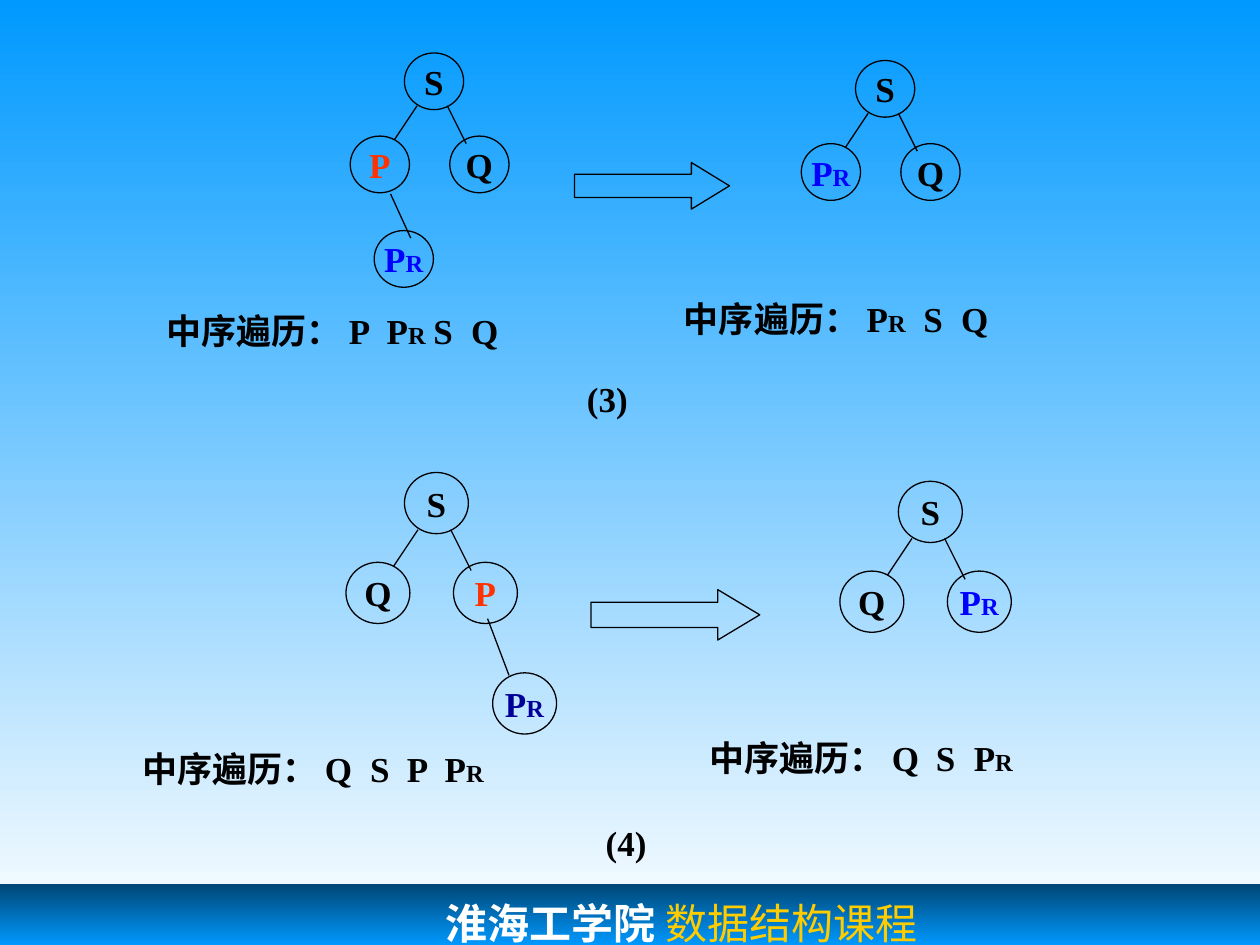
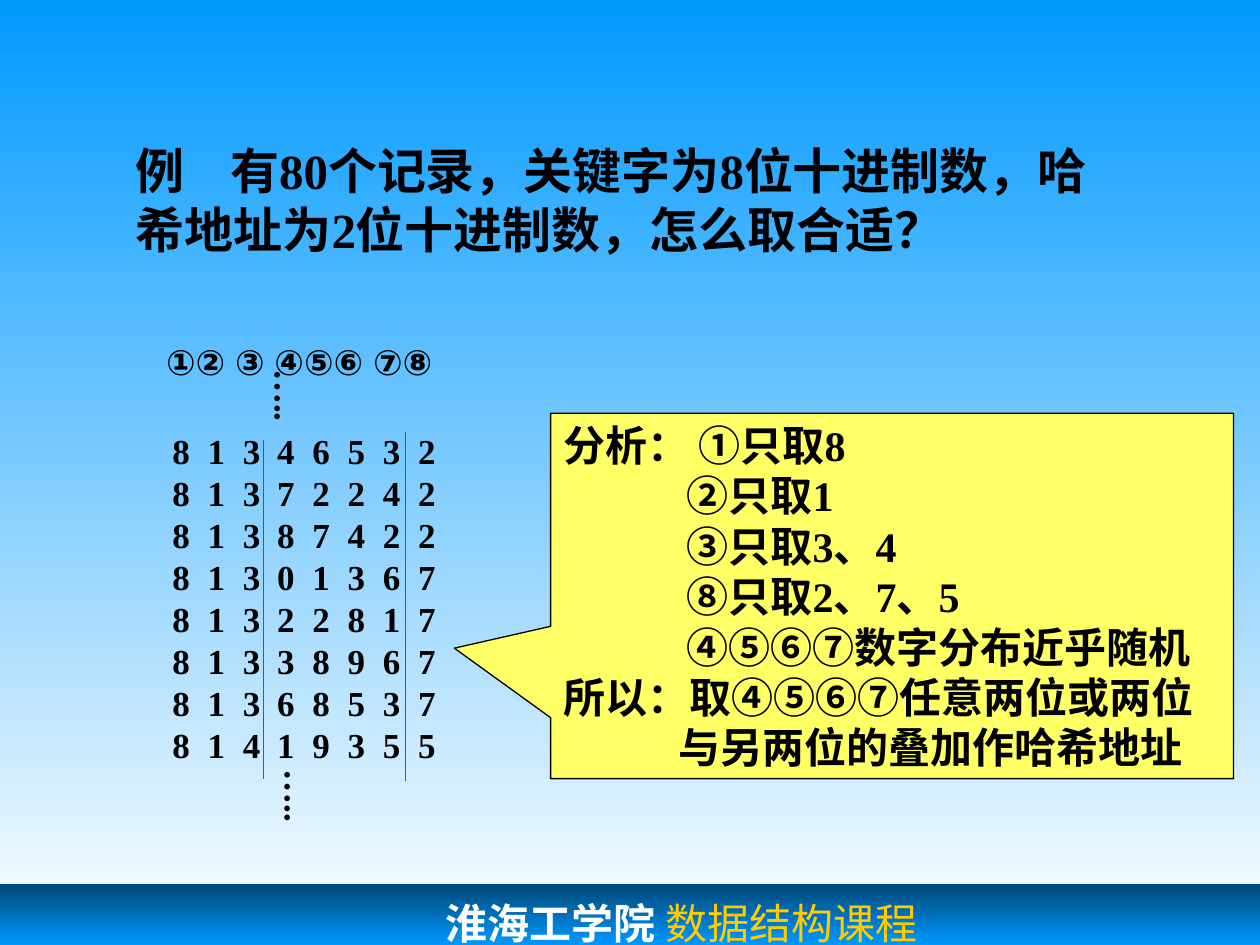
from dataclasses import dataclass
from itertools import groupby

from copy import deepcopy
from lxml.etree import SubElement
from pptx import Presentation
from pptx.dml.color import RGBColor
from pptx.enum.shapes import MSO_CONNECTOR, MSO_SHAPE
from pptx.enum.text import MSO_ANCHOR as Anchor, PP_ALIGN as Align
from pptx.oxml.ns import qn
from pptx.util import Inches, Pt


@dataclass(frozen=True)
class Theme:
    sky: str = "0099FF"
    deep: str = "004776"
    white: str = "FFFFFF"
    gold: str = "FFCC00"
    ink: str = "000000"
    removed: str = "FF3300"
    child: str = "0000FF"
    dark_child: str = "000099"
    divider: str = "0066FF"
    note: str = "FFFF66"
    serif: str = "Times New Roman"
    sans: str = "Arial"
    mono: str = "DejaVu Sans Mono"
    question: int = 28
    large: int = 24
    body: int = 20
    subscript: int = 14
    line: float = 0.75


THEME = Theme()
CIRCLED = "①②③④⑤⑥⑦⑧"


@dataclass(frozen=True)
class Box:
    left: float
    top: float
    width: float
    height: float

    def lengths(self) -> list:
        return [Inches(v) for v in (self.left, self.top, self.width, self.height)]


@dataclass(frozen=True)
class Node:
    label: str
    color: str = THEME.ink


@dataclass(frozen=True)
class Grandchild:
    """Node and edge places, relative to the root of the tree."""
    node: Node
    at: tuple
    edge: tuple


@dataclass(frozen=True)
class Tree:
    root: tuple
    scale: float
    left: Node
    right: Node
    grandchild: Grandchild | None = None


@dataclass(frozen=True)
class Traversal:
    at: tuple
    order: str
    stops: tuple


@dataclass(frozen=True)
class Case:
    trees: tuple
    traversals: tuple
    arrow: Box
    arrow_head: float
    number: str
    number_at: tuple


P, Q, S = Node("P", THEME.removed), Node("Q"), Node("S")
PR = Node("P_R", THEME.child)
CASES = (
    Case(
        (Tree((3.21, 0.42), 1, P, Q,
              Grandchild(PR, (-0.24, 1.41), (-0.11, 1.12, 0.05, 1.47))),
         Tree((6.79, 0.48), 1, PR, Q)),
        (Traversal((1.22, 2.4), "P P_R S Q", (1.45, 1.75, 2.12, 2.42)),
         Traversal((5.33, 2.31), "P_R S Q", (1.45, 1.9, 2.2))),
        Box(4.56, 1.29, 1.23, 0.37), 0.817, "(3)", (4.42, 2.94)),
    Case(
        (Tree((3.21, 3.75), 1.08, Q, P,
              Grandchild(Node("P_R", THEME.dark_child), (0.7, 1.59),
                         (0.66, 1.16, 0.83, 1.61))),
         Tree((7.13, 3.82), 1.08, Q, PR)),
        (Traversal((1.03, 5.88), "Q S P P_R", (1.45, 1.81, 2.1, 2.4)),
         Traversal((5.53, 5.79), "Q S P_R", (1.45, 1.8, 2.1))),
        Box(4.69, 4.68, 1.34, 0.4), 0.833, "(4)", (4.57, 6.47)),
)

# Places in a tree of scale 1, relative to the root.
NODE_SIZE = (0.47, 0.45)
CHILDREN = ((-0.43, 0.66), (0.36, 0.66))
EDGES = ((0.1, 0.42, -0.08, 0.69), (0.34, 0.42, 0.49, 0.72))

KEYS = ("81346532", "81372242", "81387422", "81301367",
        "81322817", "81338967", "81368537", "81419355")
ANALYSIS = (
    (0, "分析： ①只取8"),
    (0.98, "②只取1"),
    (0.98, "③只取3、4"),
    (0.98, "⑧只取2、7、5"),
    (0.98, "④⑤⑥⑦数字分布近乎随机"),
    (0, "所以：取④⑤⑥⑦任意两位或两位"),
    (0.92, "与另两位的叠加作哈希地址"),
)


def rgb(color: str) -> RGBColor:
    return RGBColor.from_string(color)


def fill_gradient(fill, *colors: str) -> None:
    """Vertical gradient with evenly spaced stops, first colour on top."""
    fill.gradient()
    fill.gradient_angle = 270
    stops = fill.gradient_stops
    gs_list = fill._fill._gradFill.find(qn("a:gsLst"))
    for _ in range(len(colors) - len(stops)):
        gs_list.append(deepcopy(gs_list[-1]))
    for i, (stop, color) in enumerate(zip(fill.gradient_stops, colors)):
        stop.color.rgb = rgb(color)
        stop.position = i / (len(colors) - 1)


def style_paragraph(paragraph, size: int, color: str = THEME.ink, font: str = THEME.serif,
                    indent: float = 0, stops: tuple = ()) -> None:
    props = paragraph._p.get_or_add_pPr()
    if indent:
        props.set("marL", str(Inches(indent)))
        props.set("indent", "0")
    if stops:
        tabs = SubElement(props, qn("a:tabLst"))
        for stop in stops:
            SubElement(tabs, qn("a:tab"), pos=str(Inches(stop)), algn="l")
    paragraph.font.size = Pt(size)
    paragraph.font.bold = True
    paragraph.font.name = font
    paragraph.font.color.rgb = rgb(color)


def add_run(paragraph, text: str):
    run = paragraph.add_run()
    run.text = text
    return run


def write_subscripted(paragraph, text: str) -> None:
    """Write text in which _R stands for a small R."""
    for i, piece in enumerate(text.split("_R")):
        if i:
            add_run(paragraph, "R").font.size = Pt(THEME.subscript)
        if piece:
            add_run(paragraph, piece)


def add_text(slide, box: Box, wrap: bool = True, anchor: Anchor = Anchor.TOP):
    frame = slide.shapes.add_textbox(*box.lengths()).text_frame
    frame.word_wrap = wrap
    frame.vertical_anchor = anchor
    return frame


def add_shape(slide, kind: MSO_SHAPE, box: Box, fill: str | None = None):
    shape = slide.shapes.add_shape(kind, *box.lengths())
    shape.shadow.inherit = False
    if fill:
        shape.fill.solid()
        shape.fill.fore_color.rgb = rgb(fill)
    else:
        shape.fill.background()
    shape.line.color.rgb = rgb(THEME.ink)
    shape.line.width = Pt(THEME.line)
    return shape


def add_line(slide, ends: tuple, color: str = THEME.ink) -> None:
    line = slide.shapes.add_connector(MSO_CONNECTOR.STRAIGHT, *(Inches(v) for v in ends))
    line.line.color.rgb = rgb(color)
    line.line.width = Pt(THEME.line)
    SubElement(line._element.spPr, qn("a:effectLst"))


def add_slide(prs):
    """Blank slide with the course footer."""
    slide = prs.slides.add_slide(prs.slide_layouts[6])
    band = add_shape(slide, MSO_SHAPE.RECTANGLE, Box(0, 7.02, 10, 0.97))
    fill_gradient(band.fill, THEME.deep, THEME.sky, THEME.deep)
    band.line.fill.background()
    band.text_frame.vertical_anchor = Anchor.TOP
    band.text_frame.margin_top = Inches(0.1)
    footer = band.text_frame.paragraphs[0]
    footer.alignment = Align.LEFT
    style_paragraph(footer, THEME.large, THEME.white, THEME.mono, indent=3.44)
    add_run(footer, "淮海工学院")
    course = add_run(footer, " 数据结构课程").font
    course.name = THEME.serif
    course.bold = False
    course.color.rgb = rgb(THEME.gold)
    return slide


def draw_node(slide, node: Node, at: tuple, scale: float) -> None:
    width, height = (v * scale for v in NODE_SIZE)
    frame = add_shape(slide, MSO_SHAPE.OVAL, Box(*at, width, height)).text_frame
    frame.word_wrap = False
    frame.vertical_anchor = Anchor.MIDDLE
    label = frame.paragraphs[0]
    label.alignment = Align.CENTER
    style_paragraph(label, THEME.body, node.color)
    write_subscripted(label, node.label)


def draw_tree(slide, tree: Tree) -> None:
    def place(offsets: tuple, scale: float = 1) -> tuple:
        return tuple(tree.root[i % 2] + v * scale for i, v in enumerate(offsets))

    draw_node(slide, S, tree.root, tree.scale)
    for node, at, edge in zip((tree.left, tree.right), CHILDREN, EDGES):
        draw_node(slide, node, place(at, tree.scale), tree.scale)
        add_line(slide, place(edge, tree.scale))
    if tree.grandchild:
        draw_node(slide, tree.grandchild.node, place(tree.grandchild.at), tree.scale)
        add_line(slide, place(tree.grandchild.edge))


def draw_case(slide, case: Case) -> None:
    for tree in case.trees:
        draw_tree(slide, tree)
    for traversal in case.traversals:
        frame = add_text(slide, Box(*traversal.at, 2.95, 0.44), anchor=Anchor.MIDDLE)
        line = frame.paragraphs[0]
        style_paragraph(line, THEME.body, stops=traversal.stops)
        write_subscripted(line, "中序遍历：\t" + traversal.order.replace(" ", "\t"))
    arrow = add_shape(slide, MSO_SHAPE.RIGHT_ARROW, case.arrow)
    arrow.adjustments[1] = case.arrow_head
    number = add_text(slide, Box(*case.number_at, 0.8, 0.44), anchor=Anchor.MIDDLE).paragraphs[0]
    number.alignment = Align.CENTER
    style_paragraph(number, THEME.body)
    add_run(number, case.number)


def draw_keys(slide) -> None:
    frame = add_text(slide, Box(1.27, 3.36, 2.45, 2.77))
    stops = tuple(round(0.278 * i, 2) for i in range(1, 8))
    for i, key in enumerate(KEYS):
        row = frame.paragraphs[0] if i == 0 else frame.add_paragraph()
        style_paragraph(row, THEME.body, stops=stops)
        add_run(row, "\t".join(key))

    for left, top in ((1.98, 2.83), (2.06, 6.01)):
        dots = add_text(slide, Box(left, top, 0.53, 0.52), wrap=False)
        dots._txBody.bodyPr.set("vert", "eaVert")
        dots.margin_left = dots.margin_right = Inches(0.05)
        dots.margin_top = dots.margin_bottom = Inches(0.1)
        style_paragraph(dots.paragraphs[0], THEME.body)
        add_run(dots.paragraphs[0], "…..")

    positions = add_text(slide, Box(1.22, 2.65, 2.39, 0.44)).paragraphs[0]
    style_paragraph(positions, THEME.body, font=THEME.sans)
    add_run(positions, "①② ③ ④⑤⑥ ⑦⑧")
    for ends in ((2.09, 3.49, 2.09, 6.18), (3.22, 3.43, 3.22, 6.2)):
        add_line(slide, ends, THEME.divider)


def draw_analysis(slide) -> None:
    callout = add_shape(slide, MSO_SHAPE.RECTANGULAR_CALLOUT, Box(4.37, 3.28, 5.42, 2.9), THEME.note)
    callout.adjustments[0] = -0.641
    callout.adjustments[1] = 0.143
    frame = callout.text_frame
    frame.word_wrap = True
    frame.vertical_anchor = Anchor.MIDDLE
    for i, (indent, text) in enumerate(ANALYSIS):
        line = frame.paragraphs[0] if i == 0 else frame.add_paragraph()
        line.alignment = Align.LEFT
        style_paragraph(line, THEME.large, indent=indent)
        for circled, chars in groupby(text, lambda char: char in CIRCLED):
            run = add_run(line, "".join(chars))
            if circled:
                run.font.name = THEME.sans


def main() -> None:
    prs = Presentation()
    prs.slide_width, prs.slide_height = Inches(10), Inches(7.5)
    fill_gradient(prs.slide_master.background.fill, THEME.sky, THEME.white)

    deletion = add_slide(prs)
    for case in CASES:
        draw_case(deletion, case)

    hashing = add_slide(prs)
    question = add_text(hashing, Box(0.98, 1.07, 8.03, 1.04)).paragraphs[0]
    style_paragraph(question, THEME.question, stops=(0.75,))
    add_run(question, "例\t有80个记录，关键字为8位十进制数，哈希地址为2位十进制数，怎么取合适？")
    draw_keys(hashing)
    draw_analysis(hashing)
    prs.save("out.pptx")


if __name__ == "__main__":
    main()
